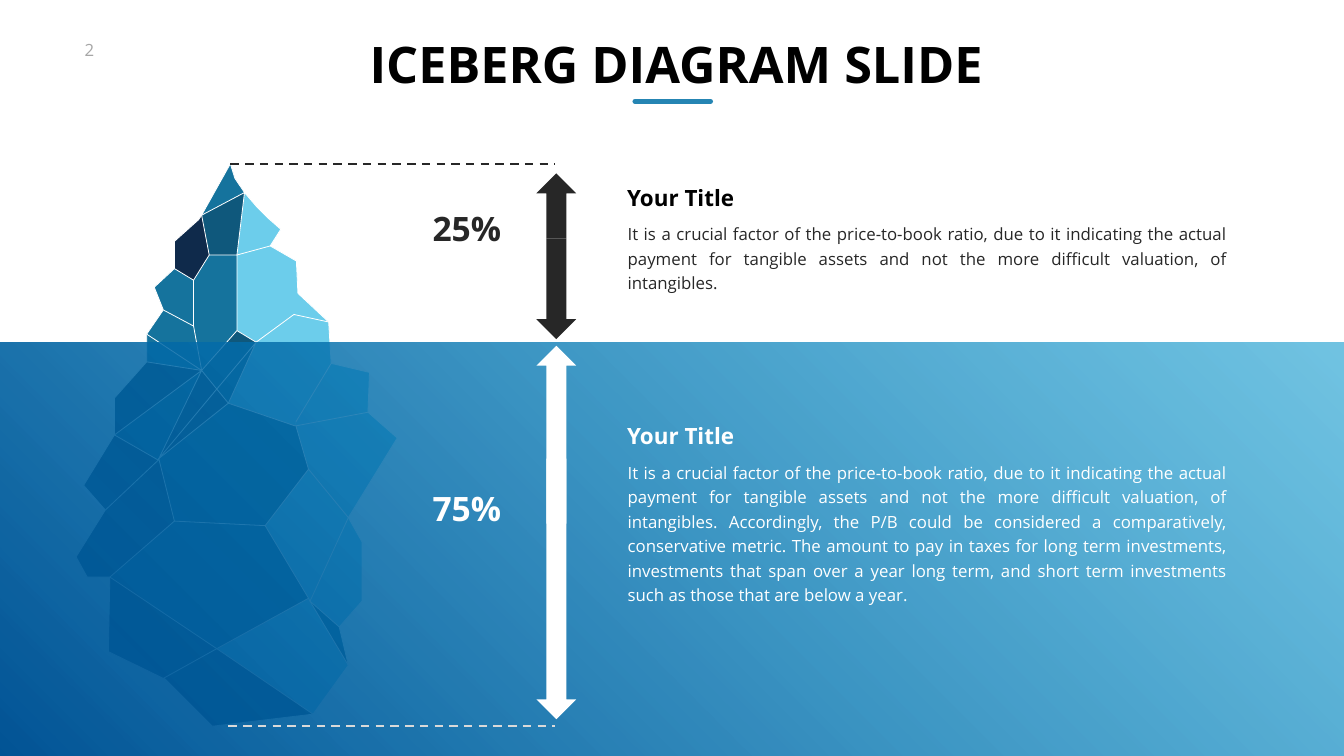
from dataclasses import dataclass

import pptx
import pptx.dml.color
import pptx.enum.dml
import pptx.enum.shapes
import pptx.enum.text
import pptx.oxml.ns
import pptx.oxml.xmlchemy
import pptx.util
from lxml import etree

Inches, Pt = pptx.util.Inches, pptx.util.Pt
Align, Anchor = pptx.enum.text.PP_ALIGN, pptx.enum.text.MSO_ANCHOR
Preset = pptx.enum.shapes.MSO_SHAPE
qn = pptx.oxml.ns.qn


@dataclass(frozen=True)
class Theme:
    font: str = "Open Sans"
    black: str = "000000"
    white: str = "FFFFFF"
    ink: str = "272727"
    muted: str = "A6A6A6"
    dash: str = "D9D9D9"
    accent: str = "2585B3"
    water_deep: str = "005496"
    water_light: str = "0D99CE"
    ice: str = "6CCDEB"
    sea: str = "15739D"
    shade: str = "0F587C"
    navy: str = "0F2A4B"
    title: int = 72
    percent: int = 48
    heading: int = 32
    body: int = 24
    edge: float = 1.13


THEME = Theme()

# Each corner of the iceberg has one letter or digit; inches from its box.
CORNERS = {
    "A": (3.06, 0), "B": (3.15, 0.29), "C": (3.34, 0.57), "D": (3.58, 0.85),
    "E": (3.81, 1.08), "F": (4.06, 1.3), "G": (3.85, 1.63), "H": (3.19, 1.81),
    "I": (2.49, 1.02), "J": (2.64, 1.81), "K": (2.43, 1.11), "L": (1.95, 1.54),
    "M": (1.95, 2.08), "N": (2.33, 2.31), "O": (4.37, 1.93), "P": (4.4, 2.57),
    "Q": (5.01, 3.14), "R": (4.32, 2.99), "S": (3.57, 3.54), "T": (3.19, 3.31),
    "U": (1.55, 2.45), "V": (1.73, 2.9), "W": (2.33, 3.22), "X": (1.4, 3.38),
    "Y": (1.4, 3.93), "Z": (2.49, 4.1), "a": (2.79, 4.47), "b": (3.02, 4.75),
    "c": (0.76, 4.65), "d": (0.76, 5.38), "e": (5.06, 3.96), "f": (4.36, 5.12),
    "g": (4.34, 5.2), "h": (4.36, 5.2), "i": (5.82, 4.14), "j": (5.79, 4.93),
    "k": (6.37, 5.44), "l": (4.61, 6.06), "m": (5.4, 7.02), "n": (3.75, 7.18),
    "o": (4.61, 8.62), "p": (4.64, 8.68), "q": (5.67, 7.5), "r": (5.67, 8.68),
    "s": (5.22, 9.19), "t": (5.4, 9.95), "u": (4.7, 10.92), "v": (2.79, 9.62),
    "w": (1.76, 10.22), "x": (1.73, 10.21), "y": (2.7, 11.16), "z": (1.64, 5.85),
    "1": (1.63, 5.88), "2": (0.58, 6.87), "3": (0.15, 6.38), "4": (0, 7.8),
    "5": (0.22, 8.2), "6": (0.67, 8.2), "7": (1.95, 7.09), "8": (0.64, 9.68),
}
FACETS = [
    (THEME.shade, "stp"),
    (THEME.ice, "CDEFGH QRSTHGOP QefgbSR ijhgfe kmlhj lmpon qrspm ptuvo"),
    (THEME.sea, "CIAB"),
    (THEME.navy, "uywxv"),
    (THEME.shade, "hln7zbg ov67n Sba SaZT CHJI"),
    (THEME.sea, "HTZWNJ"),
    (THEME.navy, "abz vx86 Zaz IJNMLK"),
    (THEME.sea, "WZXV"),
    (THEME.shade, "z1dZ"),
    (THEME.navy, "ZdcY"),
    (THEME.sea, "ZYX NWVUM"),
    (THEME.navy, "z765421 123d"),
]
OUTLINE = "ABCDEFGOPQeijkmqrstuywx865423dcYXVUMLKI"
EDGES = "QRSTHCIJHG MNJ NWV WZX YZT ZabSaz1dZz12 pt 1z7nop ovx uv67 nlmps lhj fe hgbz1"


def rgb(code):
    return pptx.dml.color.RGBColor.from_string(code)


def add_text(page, box, text, size, color, bold=False, align=Align.LEFT,
             anchor=Anchor.TOP, insets=(0.1, 0.05, 0.1, 0.05), wrap=False,
             leading=None, before=None):
    frame = page.shapes.add_textbox(*map(Inches, box)).text_frame
    frame.word_wrap = wrap
    frame.auto_size = pptx.enum.text.MSO_AUTO_SIZE.SHAPE_TO_FIT_TEXT
    frame.vertical_anchor = anchor
    (frame.margin_left, frame.margin_top,
     frame.margin_right, frame.margin_bottom) = map(Inches, insets)
    para = frame.paragraphs[0]
    para.alignment = align
    if leading:
        para.line_spacing = Pt(leading)
    if before:
        para.space_before = Pt(before)
    span = para.add_run()
    span.text = text
    span.font.name, span.font.size, span.font.bold = THEME.font, Pt(size), bold
    span.font.color.rgb = rgb(color)


def add_line(shapes, start, end, color, width, dashed=False, rounded=False):
    line = shapes.add_connector(pptx.enum.shapes.MSO_CONNECTOR.STRAIGHT,
                                *map(Inches, (*start, *end)))
    line.line.color.rgb = rgb(color)
    line.line.width = Pt(width)
    if dashed:
        line.line.dash_style = pptx.enum.dml.MSO_LINE.DASH
    properties = line.element.spPr
    if rounded:
        properties.find(qn("a:ln")).set("cap", "rnd")
    etree.SubElement(properties, qn("a:effectLst"))


def add_polygon(shapes, box, corners, fill=None, closed=True):
    """Draw a filled facet, or a white outline when there is no fill."""
    points = [tuple(map(Inches, CORNERS[name])) for name in corners]
    builder = shapes.build_freeform(*points[0])
    builder.add_line_segments(points[1:], close=closed)
    shape = builder.convert_to_shape(Inches(box[0]), Inches(box[1]))
    shape.shadow.inherit = False
    if fill:
        shape.fill.solid()
        shape.fill.fore_color.rgb = rgb(fill)
        shape.line.fill.background()
    else:
        shape.fill.background()
        shape.line.color.rgb = rgb(THEME.white)
        shape.line.width = Pt(THEME.edge)


def add_iceberg(page, box):
    shapes = page.shapes.add_group_shape().shapes
    for color, facets in FACETS:
        for corners in facets.split():
            add_polygon(shapes, box, corners, fill=color)
    add_polygon(shapes, box, OUTLINE)
    for corners in EDGES.split():
        if len(corners) == 2:
            start, end = [(box[0] + CORNERS[name][0], box[1] + CORNERS[name][1])
                          for name in corners]
            add_line(shapes, start, end, THEME.white, THEME.edge)
        else:
            add_polygon(shapes, box, corners, closed=False)


def add_water(page, box):
    water = page.shapes.add_shape(Preset.RECTANGLE, *map(Inches, box))
    water.shadow.inherit = False
    water.line.fill.background()
    water.fill.gradient()
    water.fill.gradient_angle = 45
    for stop, color in zip(water.fill.gradient_stops,
                           (THEME.water_deep, THEME.water_light)):
        stop.color.rgb = rgb(color)
    light = water.element.spPr.findall(".//" + qn("a:srgbClr"))[-1]
    etree.SubElement(light, qn("a:alpha")).set("val", "59000")


def add_arrow(page, box, color, up=False):
    arrow = page.shapes.add_shape(Preset.DOWN_ARROW, *map(Inches, box))
    arrow.rotation = 180 if up else 0
    arrow.shadow.inherit = False
    arrow.fill.solid()
    arrow.fill.fore_color.rgb = rgb(color)
    arrow.line.fill.background()


def add_level(page, box, percent, body, colors, up_height, down_top,
              percent_top, heading_top, body_height):
    """Place a share, its double arrow and its text; tops count from the box."""
    left, top, width, height = box
    heading_color, color = colors
    add_arrow(page, (left + 2.18, top + down_top, 0.79, height - down_top), color)
    add_arrow(page, (left + 2.18, top, 0.79, up_height), color, up=True)
    add_text(page, (left + 3.88, top + heading_top, 2.35, 0.64), "Your Title",
             THEME.heading, heading_color, bold=True, anchor=Anchor.MIDDLE)
    add_text(page, (left + 3.75, top + heading_top + 0.64, width - 3.75, body_height),
             body, THEME.body, color, align=Align.JUSTIFY, wrap=True,
             insets=(0.24, 0.12, 0.24, 0.12), leading=35, before=4.8)
    add_text(page, (left, top + percent_top, 1.58, 0.91), percent,
             THEME.percent, color, bold=True, align=Align.RIGHT)


def add_header(page, box):
    left, top, width, height = box
    middle = left + width / 2 - 0.02
    add_line(page.shapes, (middle - 0.75, top + 1.36), (middle + 0.75, top + 1.36),
             THEME.accent, 7, rounded=True)
    add_text(page, box, "ICEBERG DIAGRAM SLIDE", THEME.title, THEME.black,
             bold=True, align=Align.CENTER, insets=(0.1, 0, 0, 0))


def main():
    deck = pptx.Presentation()
    deck.slide_width, deck.slide_height = Inches(26.66), Inches(15)
    page = deck.slides.add_slide(deck.slide_layouts[6])
    summary = ("It is a crucial factor of the price-to-book ratio, due to it indicating "
               "the actual payment for tangible assets and not the more difficult "
               "valuation, of intangibles.")
    details = (" Accordingly, the P/B could be considered a comparatively, conservative "
               "metric. The amount to pay in taxes for long term investments, investments "
               "that span over a year long term, and short term investments such as those "
               "that are below a year.")

    add_text(page, (1.58, 0.74, 0.75, 0.5), "2", THEME.body, THEME.muted)
    add_iceberg(page, (1.51, 3.25, 6.37, 11.16))
    add_water(page, (0, 6.79, 26.66, 8.21))
    for left, top, color in ((4.57, 3.25, THEME.ink), (4.53, 14.41, THEME.dash)):
        add_line(page.shapes, (left, top), (11, top), color, 3, dashed=True)
    add_level(page, (8.46, 3.44, 16.11, 3.29), "25%", summary,
              (THEME.black, THEME.ink), up_height=1.29, down_top=1.29,
              percent_top=0.64, heading_top=0.16, body_height=1.19)
    add_level(page, (8.46, 6.86, 16.11, 7.41), "75%", summary + details,
              (THEME.white, THEME.white), up_height=3.53, down_top=2.24,
              percent_top=2.77, heading_top=1.47, body_height=3.15)
    add_header(page, (7.17, 0.65, 12.39, 1.21))
    deck.save("out.pptx")


if __name__ == "__main__":
    main()
